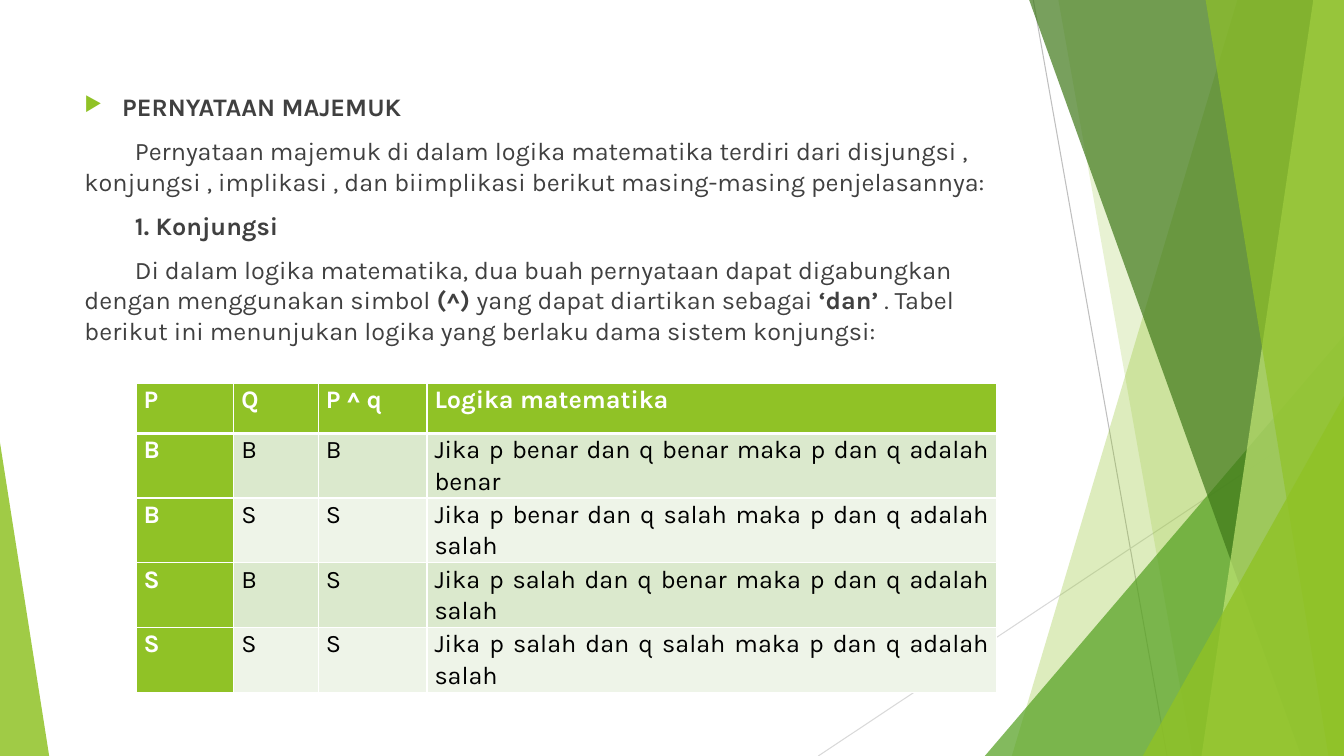
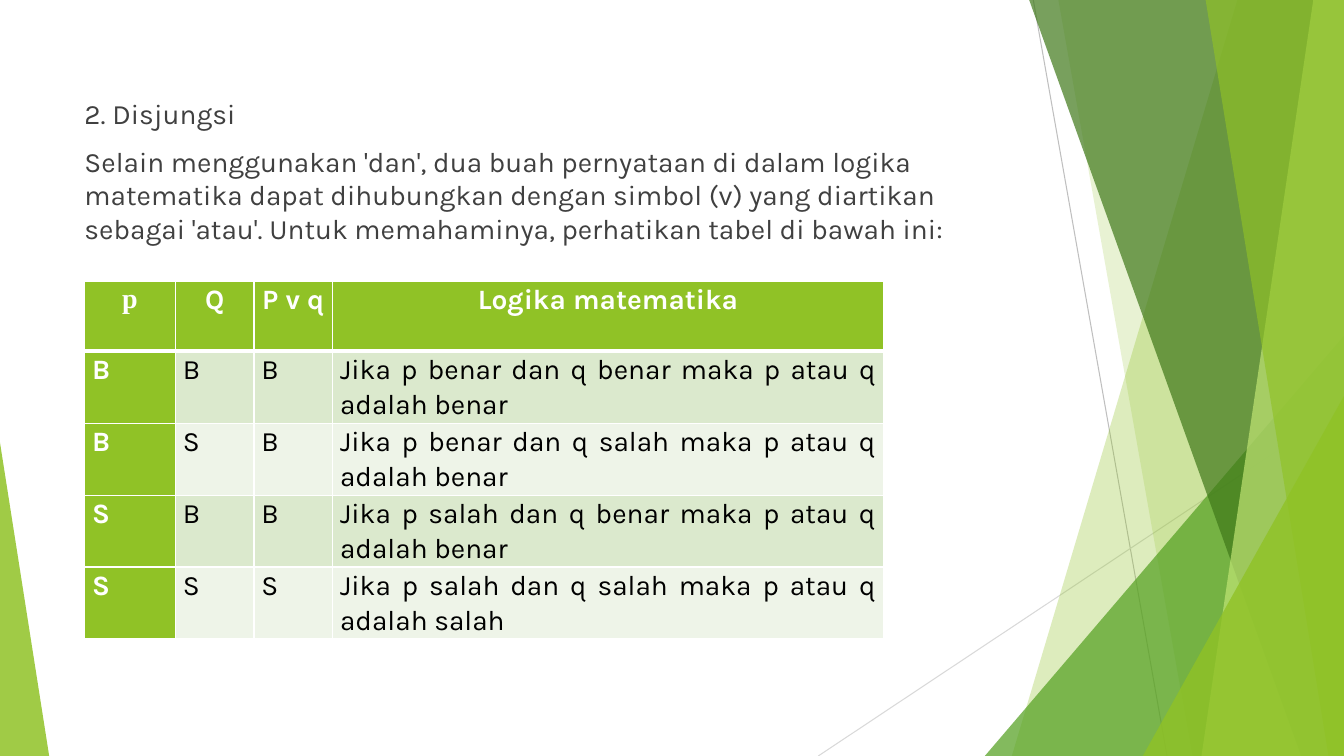
from itertools import product

from lxml import etree
from pptx import Presentation
from pptx.dml.color import RGBColor
from pptx.enum.shapes import MSO_CONNECTOR, MSO_SHAPE
from pptx.enum.text import MSO_ANCHOR, PP_ALIGN
from pptx.oxml.ns import qn
from pptx.util import Cm, Pt

STRAIGHT = MSO_CONNECTOR.STRAIGHT
TRIANGLE = MSO_SHAPE.ISOSCELES_TRIANGLE
TOP = MSO_ANCHOR.TOP
LEFT, CENTER, JUSTIFY = PP_ALIGN.LEFT, PP_ALIGN.CENTER, PP_ALIGN.JUSTIFY

WIDTH, HEIGHT = 33.87, 19.05
FONT = "Karla"
LIME, GREEN, FOREST, PALE_LIME = "90C226", "54A021", "3F7819", "C0E474"
WHITE, BLACK, BODY_TEXT = "FFFFFF", "000000", "404040"
ROW_TINTS = ("DBE9CD", "EEF4E8")
TRUTH_NAMES = {"B": "benar", "S": "salah"}

BACKGROUND_LINES = [
    (26.04, 0, 29.41, HEIGHT, "BFBFBF"),
    (WIDTH, 10.24, 20.62, HEIGHT, "D9D9D9"),
]


def rgb(hex_color):
    return RGBColor.from_string(hex_color)


def write(paragraph, text, *, size, color=BODY_TEXT, bold=False, font=FONT):
    run = paragraph.add_run()
    run.text = text
    run.font.name = font
    run.font.size = Pt(size)
    run.font.bold = bold
    run.font.color.rgb = rgb(color)


def paint(shape, color, opacity):
    """Give a shape a translucent fill, without outline or shadow."""
    shape.shadow.inherit = False
    shape.line.fill.background()
    shape.fill.solid()
    shape.fill.fore_color.rgb = rgb(color)
    fill_color = shape._element.spPr.find(qn("a:solidFill")).find(qn("a:srgbClr"))
    etree.SubElement(fill_color, qn("a:alpha"), val=str(opacity * 1000))


def add_line(slide, x1, y1, x2, y2, color):
    line = slide.shapes.add_connector(STRAIGHT, Cm(x1), Cm(y1), Cm(x2), Cm(y2))
    line.line.color.rgb = rgb(color)
    line.line.width = Pt(0.75)
    etree.SubElement(line._element.spPr, qn("a:effectLst"))


def add_band(slide, top_x, bottom_x, color, opacity):
    """Fill from a slanted left edge to the right side of the slide."""
    top = Cm(-0.02)
    outline = slide.shapes.build_freeform(Cm(top_x), top)
    outline.add_line_segments([
        (Cm(WIDTH), top), (Cm(WIDTH), Cm(HEIGHT)), (Cm(bottom_x), Cm(HEIGHT)),
    ])
    paint(outline.convert_to_shape(), color, opacity)


def add_corner(slide, left, right, top, apex, color, opacity):
    """Add a right triangle standing on the bottom edge."""
    corner = slide.shapes.add_shape(
        TRIANGLE, Cm(left), Cm(top), Cm(right - left), Cm(HEIGHT - top))
    corner.adjustments[0] = apex
    paint(corner, color, opacity)


def add_background(slide):
    for line in BACKGROUND_LINES:
        add_line(slide, *line)
    add_band(slide, 31.19, 25.5, LIME, 30)
    add_band(slide, 26.67, 30.05, LIME, 20)
    add_corner(slide, 24.82, WIDTH, 8.46, 1, GREEN, 72)
    add_band(slide, 25.93, 32.79, FOREST, 70)
    add_band(slide, 33.1, 30.28, PALE_LIME, 70)
    add_band(slide, 30.38, 33.48, LIME, 65)
    add_corner(slide, 28.8, WIDTH, 9.98, 1, LIME, 80)
    add_corner(slide, 0, 1.24, 11.15, 0, LIME, 85)


def indent(paragraph, margin, first_line):
    properties = paragraph._p.get_or_add_pPr()
    properties.set("marL", str(Cm(margin)))
    properties.set("indent", str(Cm(first_line)))


def add_bullet(paragraph):
    indent(paragraph, 0.95, -0.95)
    properties = paragraph._p.get_or_add_pPr()
    bullet_color = etree.SubElement(properties, qn("a:buClr"))
    etree.SubElement(bullet_color, qn("a:srgbClr"), val=LIME)
    etree.SubElement(properties, qn("a:buSzPct"), val="80000")
    etree.SubElement(properties, qn("a:buChar"), char="▶")


def add_body(slide, top, height, paragraphs, size):
    """Write paragraphs given as lists of (text, bold); return them."""
    box = slide.shapes.add_textbox(Cm(1.88), Cm(top), Cm(23.88), Cm(height))
    frame = box.text_frame
    frame.word_wrap = True
    frame.vertical_anchor = TOP
    written = []
    for runs in paragraphs:
        paragraph = frame.add_paragraph() if written else frame.paragraphs[0]
        paragraph.alignment = LEFT
        paragraph.space_before = Pt(10)
        for text, bold in runs:
            write(paragraph, text, size=size, bold=bold)
        written.append(paragraph)
    return written


def add_borders(cell, top, bottom):
    properties = cell._tc.get_or_add_tcPr()
    for side, width in (("L", 1), ("R", 1), ("T", top), ("B", bottom)):
        border = etree.SubElement(properties, qn(f"a:ln{side}"), w=str(Pt(width)))
        fill = etree.SubElement(border, qn("a:solidFill"))
        etree.SubElement(fill, qn("a:srgbClr"), val=WHITE)


def format_cell(cell, text, fill, align, borders, **text_format):
    add_borders(cell, *borders)
    cell.fill.solid()
    cell.fill.fore_color.rgb = rgb(fill)
    cell.margin_left = cell.margin_right = Cm(0.19)
    cell.margin_top = cell.margin_bottom = 0
    paragraph = cell.text_frame.paragraphs[0]
    paragraph.alignment = align
    paragraph.line_spacing = 1.07
    write(paragraph, text, **text_format)


def truth_rows(results, conjunction):
    for (p, q), result in zip(product("BS", repeat=2), results):
        p_name, q_name, result_name = (TRUTH_NAMES[v] for v in (p, q, result))
        yield (p, q, result, f"Jika p {p_name} dan q {q_name} maka "
                             f"p {conjunction} q adalah {result_name}")


def add_truth_table(slide, left, top, col_widths, row_heights, headings, rows,
                    size, heading_align, first_heading_font=FONT):
    table = slide.shapes.add_table(
        len(row_heights), len(col_widths), Cm(left), Cm(top),
        Cm(sum(col_widths)), Cm(sum(row_heights))).table
    for column, width in zip(table.columns, col_widths):
        column.width = Cm(width)
    for row, height in zip(table.rows, row_heights):
        row.height = Cm(height)
    for c, heading in enumerate(headings):
        format_cell(table.cell(0, c), heading, LIME, heading_align, (1, 3),
                    size=size, color=WHITE, bold=True,
                    font=FONT if c else first_heading_font)
    for r, values in enumerate(rows, start=1):
        borders = (3 if r == 1 else 1, 1)
        for c, value in enumerate(values):
            is_key = c == 0
            format_cell(table.cell(r, c), value,
                        LIME if is_key else ROW_TINTS[(r - 1) % 2],
                        JUSTIFY, borders, size=size, bold=is_key,
                        color=WHITE if is_key else BLACK)


def add_conjunction_slide(slide):
    add_background(slide)
    heading, *explanation = add_body(slide, 2.18, 14.61, [
        [("PERNYATAAN MAJEMUK", True)],
        [("Pernyataan majemuk di dalam logika matematika terdiri dari disjungsi , "
          "konjungsi , implikasi , dan biimplikasi berikut masing-masing "
          "penjelasannya:", False)],
        [("1. Konjungsi", True)],
        [("Di dalam logika matematika, dua buah pernyataan dapat digabungkan "
          "dengan menggunakan simbol ", False),
         ("(^) ", True),
         ("yang dapat diartikan sebagai ", False),
         ("‘dan’", True),
         (" . Tabel berikut ini menunjukan logika yang berlaku dama sistem "
          "konjungsi:", False)],
    ], size=18)
    add_bullet(heading)
    for paragraph in explanation:
        indent(paragraph, 0, 1.27)
    add_truth_table(
        slide, 3.43, 9.65, [2.46, 2.13, 2.74, 14.35], [1.27] + [1.59] * 4,
        ["P", "Q", "P ^ q", "Logika matematika"], truth_rows("BSSS", "dan"),
        size=18, heading_align=JUSTIFY)


def add_disjunction_slide(slide):
    add_background(slide)
    add_body(slide, 2.31, 14.45, [
        [("2. Disjungsi", False)],
        [("Selain menggunakan 'dan', dua buah pernyataan di dalam logika "
          "matematika dapat dihubungkan dengan simbol (v) yang diartikan "
          "sebagai 'atau'. Untuk memahaminya, perhatikan tabel di bawah ini:",
          False)],
    ], size=20)
    add_truth_table(
        slide, 2.13, 7.09, [2.29, 1.98, 1.98, 13.89], [1.76] * 5,
        ["p", "Q", "P v q", "Logika matematika"], truth_rows("BBBS", "atau"),
        size=20, heading_align=CENTER, first_heading_font="Times New Roman")


def main():
    presentation = Presentation()
    presentation.slide_width = Cm(WIDTH)
    presentation.slide_height = Cm(HEIGHT)
    blank = presentation.slide_layouts[6]
    for build in (add_conjunction_slide, add_disjunction_slide):
        build(presentation.slides.add_slide(blank))
    presentation.save("out.pptx")


if __name__ == "__main__":
    main()
